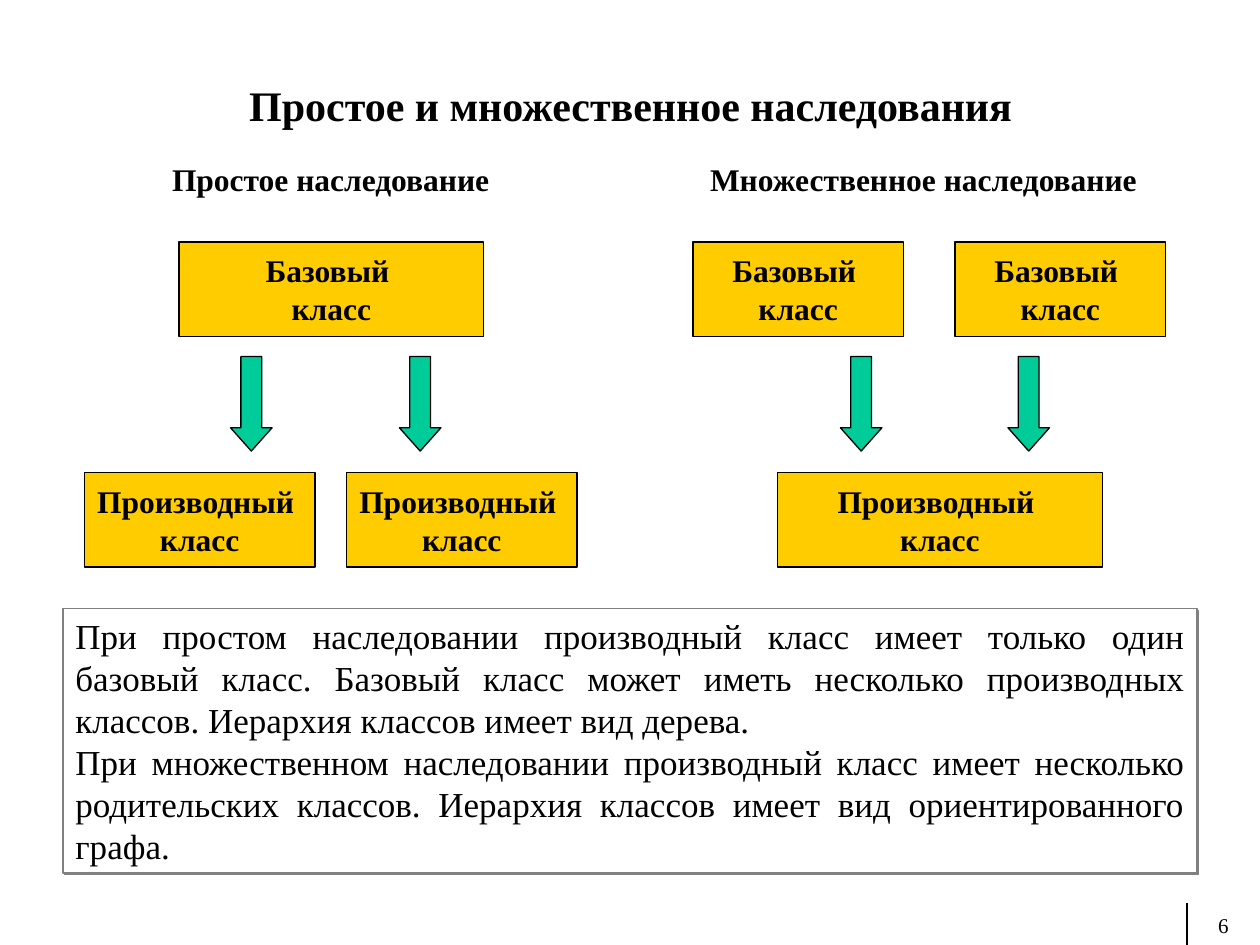
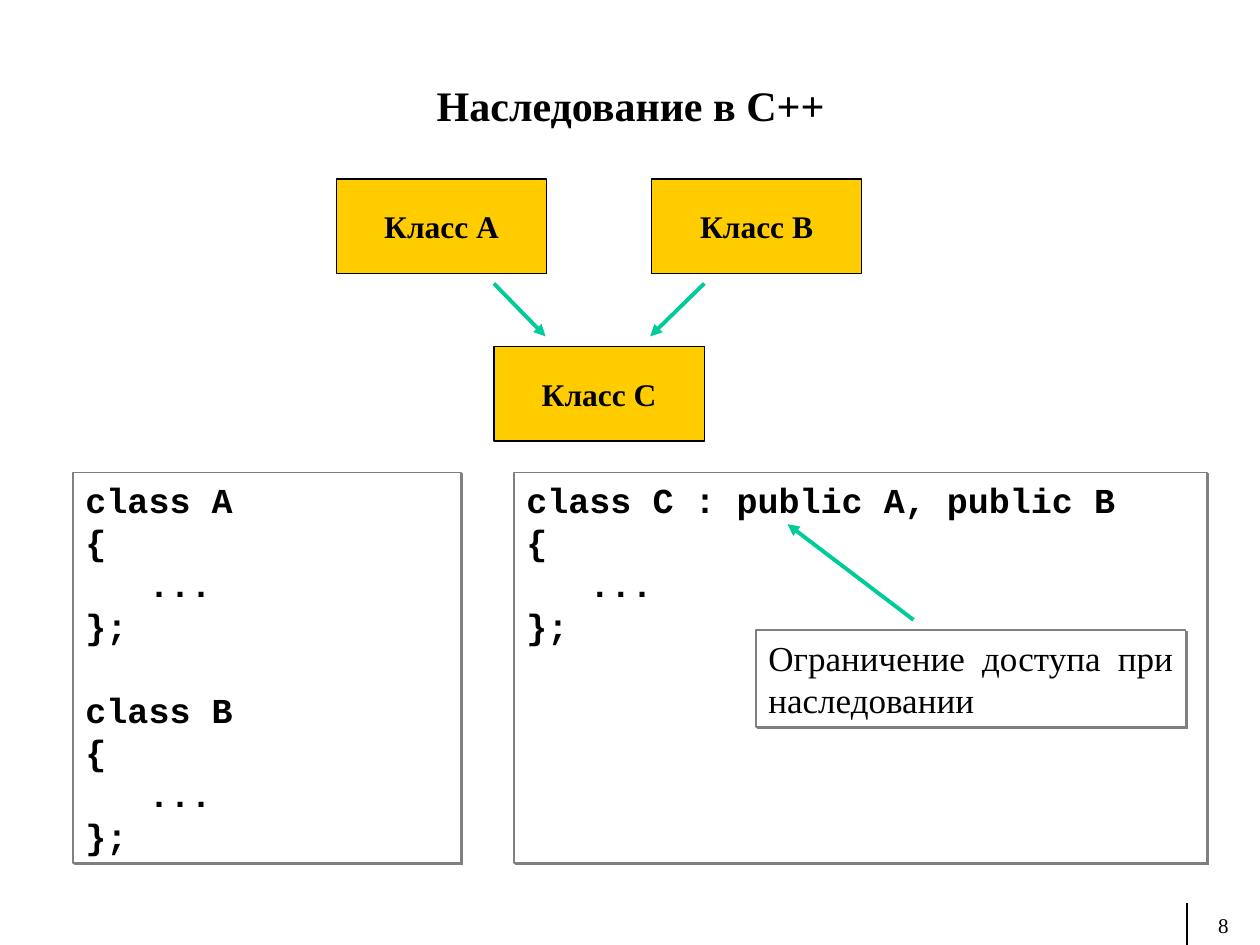
import pptx
import pptx.util
import pptx.dml.color
import pptx.enum.shapes
import pptx.enum.text
import pptx.oxml
from pptx.util import Inches, Pt

RGBColor = pptx.dml.color.RGBColor
ALIGN = pptx.enum.text.PP_ALIGN
ANCHOR = pptx.enum.text.MSO_ANCHOR
SHAPE = pptx.enum.shapes.MSO_SHAPE

BLACK = RGBColor(0x00, 0x00, 0x00)
WHITE = RGBColor(0xFF, 0xFF, 0xFF)
GRAY = RGBColor(0x80, 0x80, 0x80)
GOLD = RGBColor(0xFF, 0xCC, 0x00)
GREEN = RGBColor(0x00, 0xCC, 0x99)
SERIF = "Times New Roman"
MONO = "Courier New"
NS = 'xmlns:a="http://schemas.openxmlformats.org/drawingml/2006/main"'

BOX_H = 0.75
BASE = ["Базовый ", "класс"]
DERIVED = ["Производный ", "класс"]

INHERITANCE = {
    "title": "Простое и множественное наследования",
    "number": "6",
    "headings": [
        ("Простое наследование", 0.25, 4.75),
        ("Множественное наследование", 5.33, 4),
    ],
    "rows": [
        (1.92, [(BASE, 1.42, 2.42), (BASE, 5.5, 1.67), (BASE, 7.58, 1.67)]),
        (3.75, [(DERIVED, 0.67, 1.83), (DERIVED, 2.75, 1.83), (DERIVED, 6.17, 2.58)]),
    ],
    "arrow_lefts": [1.83, 3.17, 6.67, 8],
    "summary": [
        "При простом наследовании производный класс имеет только один базовый класс. "
        "Базовый класс может иметь несколько производных классов. "
        "Иерархия классов имеет вид дерева.",
        "При множественном наследовании производный класс имеет несколько "
        "родительских классов. Иерархия классов имеет вид ориентированного графа.",
    ],
}

CPP = {
    "title": "Наследование в С++",
    "number": "8",
    "rows": [
        (1.42, [(["Класс А"], 2.67, 1.67), (["Класс В"], 5.17, 1.67)]),
        (2.75, [(["Класс С"], 3.92, 1.67)]),
    ],
    "parents_code": ["class A", "{", "   ...", "};", "class B", "{", "   ...", "};"],
    "child_code": ["class C : public A, public B ", "{", "   ...", "};"],
    "arrows": [(3.92, 2.25, 4.33, 2.67), (5.59, 2.25, 5.16, 2.67)],
    "note_arrow": (7.25, 4.92, 6.25, 4.16),
    "note": ["Ограничение доступа при наследовании"],
}


def write(s, lines, size, align, anchor=ANCHOR.TOP, font=SERIF, bold=False, wrap=True):
    tf = s.text_frame
    tf.word_wrap = wrap
    tf.vertical_anchor = anchor
    tf.text = "\n".join(lines)
    for p in tf.paragraphs:
        p.alignment = align
        p.line_spacing = Pt(size * 1.2)
        for r in p.runs:
            r.font.name = font
            r.font.size = Pt(size)
            r.font.bold = bold
            r.font.color.rgb = BLACK
    return tf


def add_text(slide, at, lines, size, **style):
    s = slide.shapes.add_textbox(*map(Inches, at))
    return write(s, lines, size, ALIGN.CENTER, **style)


def add_filled(slide, kind, at, fill, line):
    s = slide.shapes.add_shape(kind, *map(Inches, at))
    s.shadow.inherit = False
    s.fill.solid()
    s.fill.fore_color.rgb = fill
    s.line.color.rgb = line
    s.line.width = Pt(0.75)
    return s


def add_class_rows(slide, rows):
    for top, boxes in rows:
        for lines, left, width in boxes:
            s = add_filled(slide, SHAPE.RECTANGLE, (left, top, width, BOX_H), GOLD, BLACK)
            write(s, lines, 18, ALIGN.CENTER, ANCHOR.MIDDLE, bold=True, wrap=False)


def add_panel(slide, at, lines, align=ALIGN.JUSTIFY, **style):
    s = add_filled(slide, SHAPE.RECTANGLE, at, WHITE, GRAY)
    effects = s.element.spPr.find(pptx.oxml.ns.qn("a:effectLst"))
    effects.append(pptx.oxml.parse_xml(
        f'<a:outerShdw {NS} blurRad="0" dist="{Pt(1.4)}" dir="2700000" algn="ctr" '
        f'rotWithShape="0"><a:srgbClr val="{GRAY}"/></a:outerShdw>'))
    return write(s, lines, 20, align, **style)


def add_line(slide, ends, color, width, arrow=False):
    c = slide.shapes.add_connector(
        pptx.enum.shapes.MSO_CONNECTOR.STRAIGHT, *map(Inches, ends))
    c.line.color.rgb = color
    c.line.width = Pt(width)
    if arrow:
        c.line._get_or_add_ln().append(
            pptx.oxml.parse_xml(f'<a:tailEnd {NS} type="triangle"/>'))
    c.element.spPr.append(pptx.oxml.parse_xml(f"<a:effectLst {NS}/>"))


def add_slide(prs, content):
    slide = prs.slides.add_slide(prs.slide_layouts[5])
    s = slide.shapes.title
    s.left, s.top, s.width, s.height = map(Inches, (0.42, 0.58, 9.17, 0.5))
    tf = write(s, [content["title"]], 24, ALIGN.CENTER, ANCHOR.MIDDLE, bold=True)
    tf.auto_size = pptx.enum.text.MSO_AUTO_SIZE.NONE
    tf.margin_left = tf.margin_right = tf.margin_top = tf.margin_bottom = 0
    add_text(slide, (9.42, 7.19, 0.58, 0.3), [content["number"]], 12)
    add_line(slide, (9.42, 7.17, 9.42, 7.5), BLACK, 0.75)
    return slide


def build_inheritance(prs):
    slide = add_slide(prs, INHERITANCE)
    for text, left, width in INHERITANCE["headings"]:
        add_text(slide, (left, 1.17, width, 0.5), [text], 18,
                 anchor=ANCHOR.MIDDLE, bold=True)
    add_class_rows(slide, INHERITANCE["rows"])
    for left in INHERITANCE["arrow_lefts"]:
        s = add_filled(slide, SHAPE.DOWN_ARROW, (left, 2.83, 0.33, 0.75), GREEN, BLACK)
        s.adjustments[1] = 0.56
    add_panel(slide, (0.5, 4.83, 9, 2.1), INHERITANCE["summary"])


def build_cpp(prs):
    slide = add_slide(prs, CPP)
    add_class_rows(slide, CPP["rows"])
    for ends in CPP["arrows"]:
        add_line(slide, ends, GREEN, 2.25, arrow=True)
    tf = add_panel(slide, (0.58, 3.75, 3.08, 3.1), CPP["parents_code"],
                   ALIGN.LEFT, font=MONO, bold=True)
    tf.paragraphs[4].space_before = Pt(24)
    add_panel(slide, (4.08, 3.75, 5.5, 3.1), CPP["child_code"],
              ALIGN.LEFT, font=MONO, bold=True)
    add_line(slide, CPP["note_arrow"], GREEN, 2.25, arrow=True)
    add_panel(slide, (6, 5, 3.41, 0.77), CPP["note"])


def main():
    prs = pptx.Presentation()
    prs.slide_width, prs.slide_height = Inches(10), Inches(7.5)
    build_inheritance(prs)
    build_cpp(prs)
    prs.save("out.pptx")


if __name__ == "__main__":
    main()
